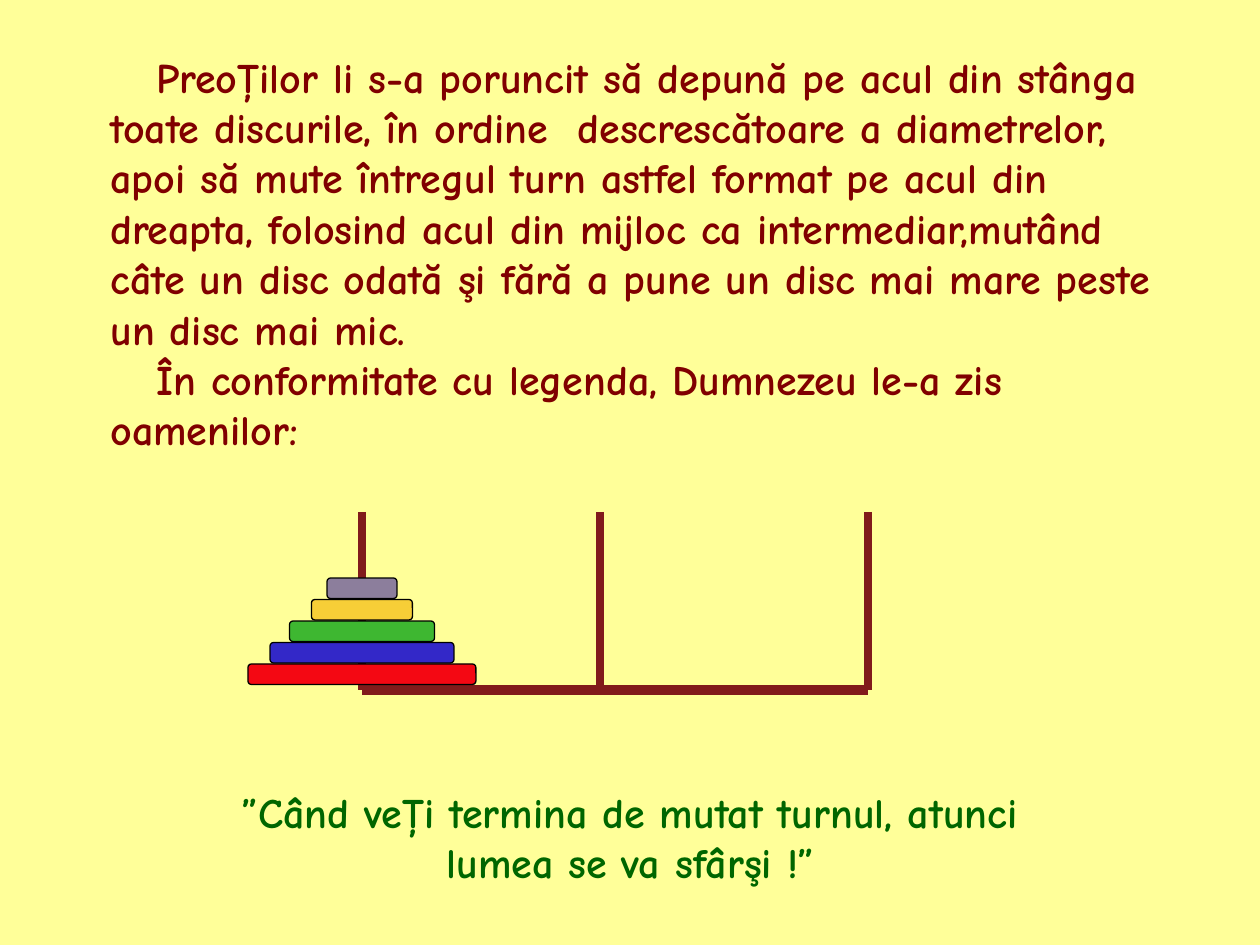
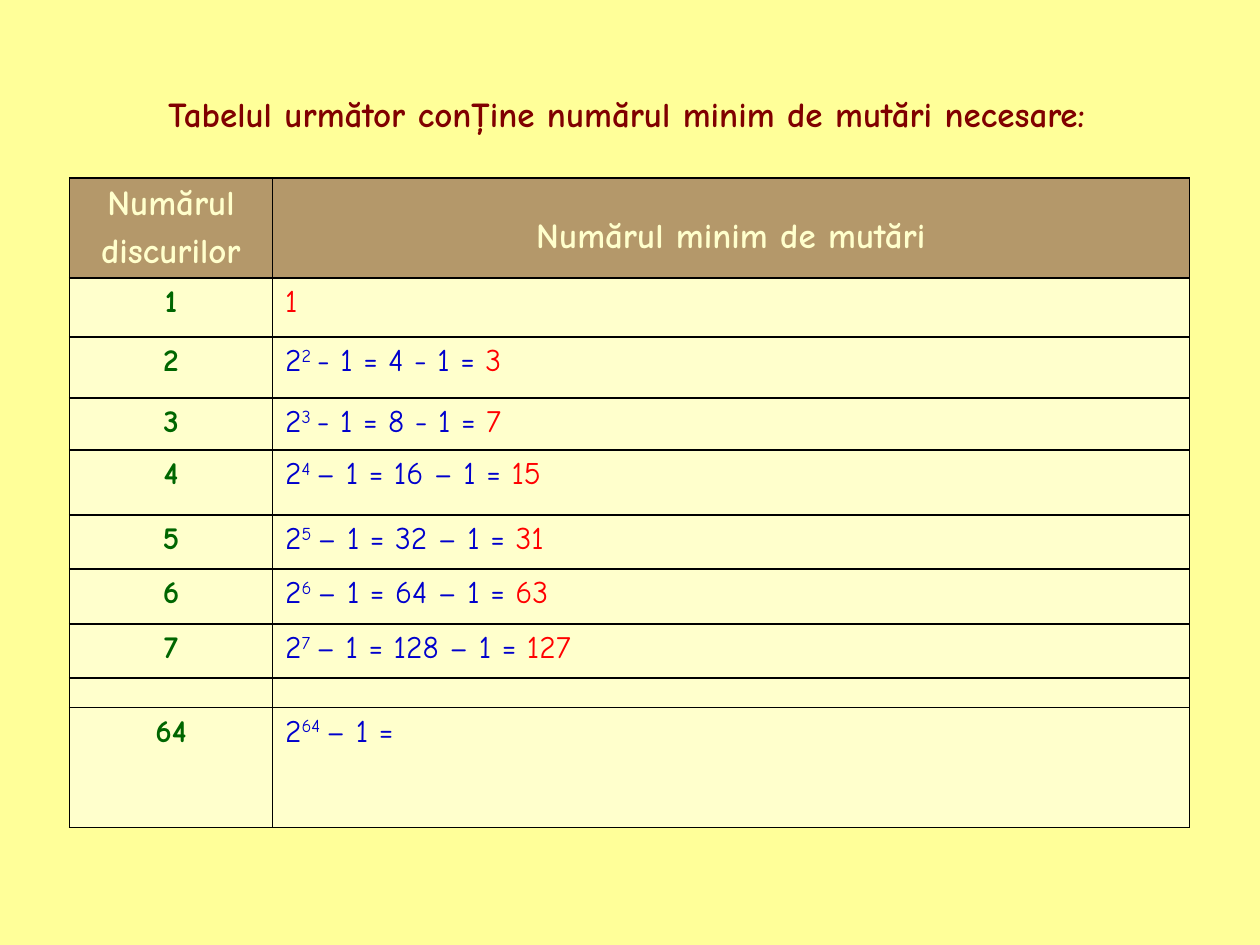
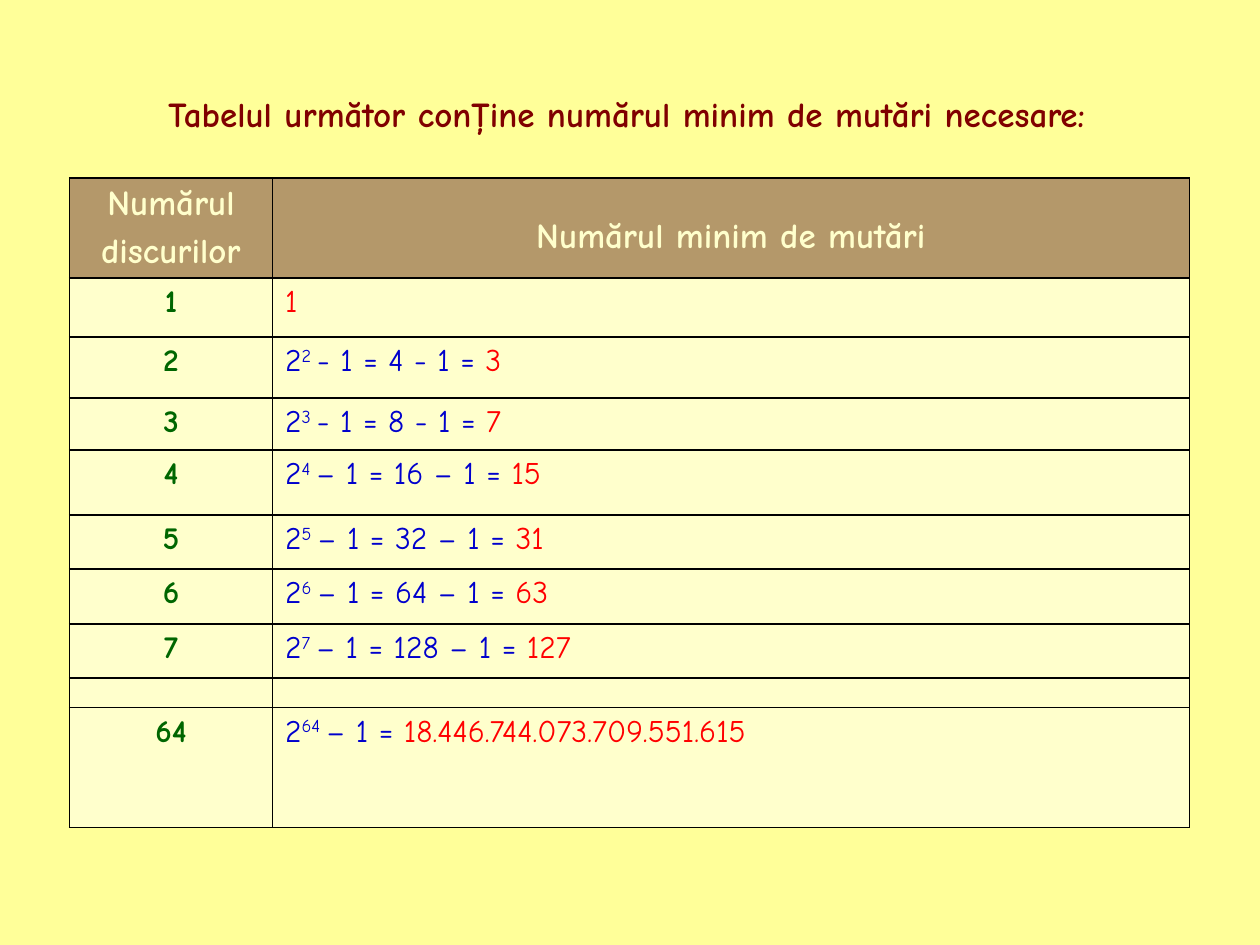
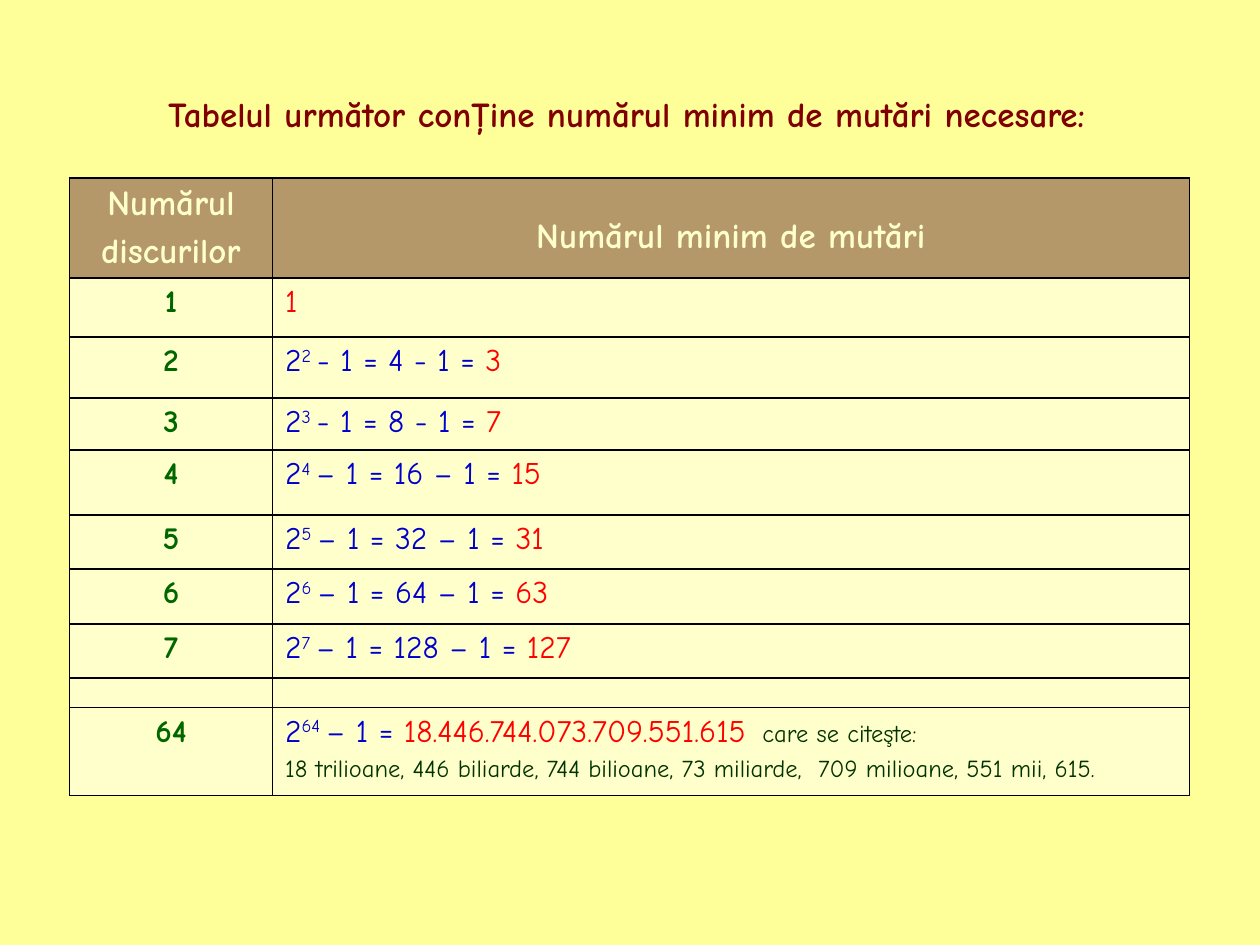
"""Builds four slides on the Tower of Hanoi legend and its minimum move counts."""
from lxml import etree
from pptx import Presentation
from pptx import util as u
from pptx.dml import color as dml
from pptx.enum import shapes, text
from pptx.oxml import ns

SCALE = 914400 / 126
FONT = "Comic Neue"
PAPER, CREAM, TAN, BLACK = "FFFF99", "FFFFCC", "B4986A", "000000"
MAROON, GREEN, DARK_GREEN = "800000", "006600", "003300"
BLUE, RED, WOOD = "0000CC", "FF0000", "811B1B"
CENTER, LEFT = text.PP_ALIGN.CENTER, text.PP_ALIGN.LEFT

LEGEND = [
    "Preoţilor li s-a poruncit să depună pe acul din stânga toate discurile, "
    "în ordine  descrescătoare a diametrelor, apoi să mute întregul turn astfel "
    "format pe acul din dreapta, folosind acul din mijloc ca intermediar,mutând "
    "câte un disc odată şi fără a pune un disc mai mare peste un disc mai mic.",
    "În conformitate cu legenda, Dumnezeu le-a zis oamenilor:",
]
PROPHECY = ["”Când veţi termina de mutat turnul, atunci lumea se va sfârşi !”"]
ROD_XS, ROD_TOP, BASE_Y = (362, 600, 868), 512, 690
DISCS = [(228, "F40813"), (184, "3328C8"), (145, "3EB731"), (101, "F7CE37"), (70, "8C7E9C")]
DISC_TOP, DISC_PITCH, DISC_HEIGHT = 664, 21.5, 20.5

TITLE = "Tabelul următor conţine numărul minim de mutări necesare:"
HEADERS = [["Numărul", "discurilor"], ["Numărul minim de mutări"]]
DISC_COUNTS = [1, 2, 3, 4, 5, 6, 7, None, 64]
COLUMN_WIDTHS = [203, 917]
ROW_HEIGHTS = [100, 59, 61, 52, 65, 54, 55, 54, 30]
READING = ("  care se citeşte:",
           "18 trilioane, 446 biliarde, 744 bilioane, 73 miliarde,  709 milioane, 551 mii, 615.")
TABLE_SLIDES = [
    {"answer": False, "reading": False, "last_height": 120},
    {"answer": True, "reading": False, "last_height": 120},
    {"answer": True, "reading": True, "last_height": 88},
]


def px(*lengths):
    return [u.Emu(round(length * SCALE)) for length in lengths]


def rgb(value):
    return dml.RGBColor.from_string(value)


def set_values(target, **values):
    for name, value in values.items():
        setattr(target, name, value)


def paint(fill, value):
    fill.solid()
    fill.fore_color.rgb = rgb(value)


def add_run(paragraph, words, size, color, bold=False, raised=False):
    run = paragraph.add_run()
    run.text = words
    set_values(run.font, name=FONT, size=u.Pt(size), bold=bold)
    run.font.color.rgb = rgb(color)
    if raised:
        run.font._element.set("baseline", "30000")


def write(frame, paragraphs, align=LEFT, spacing=0.2):
    """Fill a frame with paragraphs, each a list of add_run arguments."""
    for index, runs in enumerate(paragraphs):
        paragraph = frame.paragraphs[0] if index == 0 else frame.add_paragraph()
        set_values(paragraph, alignment=align, space_before=u.Pt(spacing * runs[0][1]))
        for run in runs:
            add_run(paragraph, *run)


def add_story(slide, box, paragraphs, color, align, first_indent):
    frame = slide.shapes.add_textbox(*px(*box)).text_frame
    frame.word_wrap = True
    write(frame, [[(words, 24, color, True)] for words in paragraphs], align, 0)
    margin, indent = px(24, first_indent)
    for paragraph in frame.paragraphs:
        properties = paragraph._p.get_or_add_pPr()
        properties.set("marL", str(margin))
        properties.set("indent", str(indent))


def add_bar(slide, ends, width):
    line = slide.shapes.add_connector(shapes.MSO_CONNECTOR.STRAIGHT, *px(*ends))
    line.line.width = u.Pt(width)
    line.line.color.rgb = rgb(WOOD)
    etree.SubElement(line._element.spPr, ns.qn("a:effectLst"))


def add_tower(slide):
    add_bar(slide, (ROD_XS[0], BASE_Y, ROD_XS[-1], BASE_Y), 6)
    for x in ROD_XS:
        add_bar(slide, (x, ROD_TOP, x, BASE_Y), 4.5)
    for level, (width, color) in enumerate(DISCS):
        box = px(ROD_XS[0] - width / 2, DISC_TOP - level * DISC_PITCH, width, DISC_HEIGHT)
        disc = slide.shapes.add_shape(shapes.MSO_SHAPE.ROUNDED_RECTANGLE, *box)
        disc.shadow.inherit = False
        disc.adjustments[0] = 0.17
        paint(disc.fill, color)
        disc.line.width = u.Pt(0.75)
        disc.line.color.rgb = rgb(BLACK)


def move_formula(count, answer, reading):
    """Return the paragraphs that state the minimum moves for a disc count."""
    moves = f"{2 ** count - 1:,}".replace(",", ".")
    if count == 1:
        return [[(moves, 18, RED)]]
    dash = "-" if count < 4 else "–"
    middle = "" if count == 64 else f"{2 ** count} {dash} 1 = "
    runs = [("2", 18, BLUE), (f"{count} ", 18, BLUE, False, True),
            (f"{dash} 1 = {middle}", 18, BLUE)]
    if answer or count < 64:
        runs.append((moves, 18, RED))
    if reading and count == 64:
        return [runs + [(READING[0], 14, DARK_GREEN)], [(READING[1], 14, DARK_GREEN)]]
    return [runs]


def add_borders(cell):
    properties = cell._tc.get_or_add_tcPr()
    for position, side in enumerate(("lnL", "lnR", "lnT", "lnB")):
        line = etree.Element(ns.qn(f"a:{side}"), w=str(u.Pt(1)))
        fill = etree.SubElement(line, ns.qn("a:solidFill"))
        etree.SubElement(fill, ns.qn("a:srgbClr"), val=BLACK)
        properties.insert(position, line)


def add_moves_table(slide, answer, reading, last_height):
    heights = ROW_HEIGHTS + [last_height]
    box = px(69.5, 178, sum(COLUMN_WIDTHS), sum(heights))
    table = slide.shapes.add_table(len(heights), len(COLUMN_WIDTHS), *box).table
    set_values(table, first_row=False, horz_banding=False)
    for column, width in zip(table.columns, px(*COLUMN_WIDTHS)):
        column.width = width
    for row, height in zip(table.rows, px(*heights)):
        row.height = height
    for cell in table.iter_cells():
        paint(cell.fill, CREAM)
        add_borders(cell)
    for column, lines in enumerate(HEADERS):
        cell = table.cell(0, column)
        paint(cell.fill, TAN)
        cell.margin_bottom = px(3)[0]
        write(cell.text_frame, [[(line, 20, CREAM, True)] for line in lines], CENTER)
    set_values(table.cell(0, 1), vertical_anchor=text.MSO_ANCHOR.MIDDLE, margin_top=px(21)[0])
    for row, count in enumerate(DISC_COUNTS, 1):
        label, formula = (table.cell(row, column).text_frame for column in (0, 1))
        if count is None:
            for frame in (label, formula):
                etree.SubElement(frame.paragraphs[0]._p, ns.qn("a:endParaRPr"), sz="800")
            continue
        write(label, [[(str(count), 18, GREEN, True)]], CENTER)
        write(formula, move_formula(count, answer, reading))


def add_title(slide):
    title = slide.shapes.title
    set_values(title, **dict(zip(("left", "top", "width", "height"), px(74, 86, 1106, 54))))
    set_values(title.text_frame, word_wrap=True, auto_size=text.MSO_AUTO_SIZE.NONE,
               vertical_anchor=text.MSO_ANCHOR.MIDDLE)
    write(title.text_frame, [[(TITLE, 20, MAROON, True)]], CENTER, 0)


presentation = Presentation()
set_values(presentation, **dict(zip(("slide_width", "slide_height"), px(1260, 945))))
paint(presentation.slide_master.background.fill, PAPER)
title_only, blank = presentation.slide_layouts[5], presentation.slide_layouts[6]

legend_slide = presentation.slides.add_slide(blank)
add_story(legend_slide, (74, 45, 1121, 416), LEGEND, MAROON, LEFT, 46)
add_story(legend_slide, (184, 780, 868, 113), PROPHECY, GREEN, CENTER, 0)
add_tower(legend_slide)

for options in TABLE_SLIDES:
    table_slide = presentation.slides.add_slide(title_only)
    add_title(table_slide)
    add_moves_table(table_slide, **options)

presentation.save("out.pptx")
